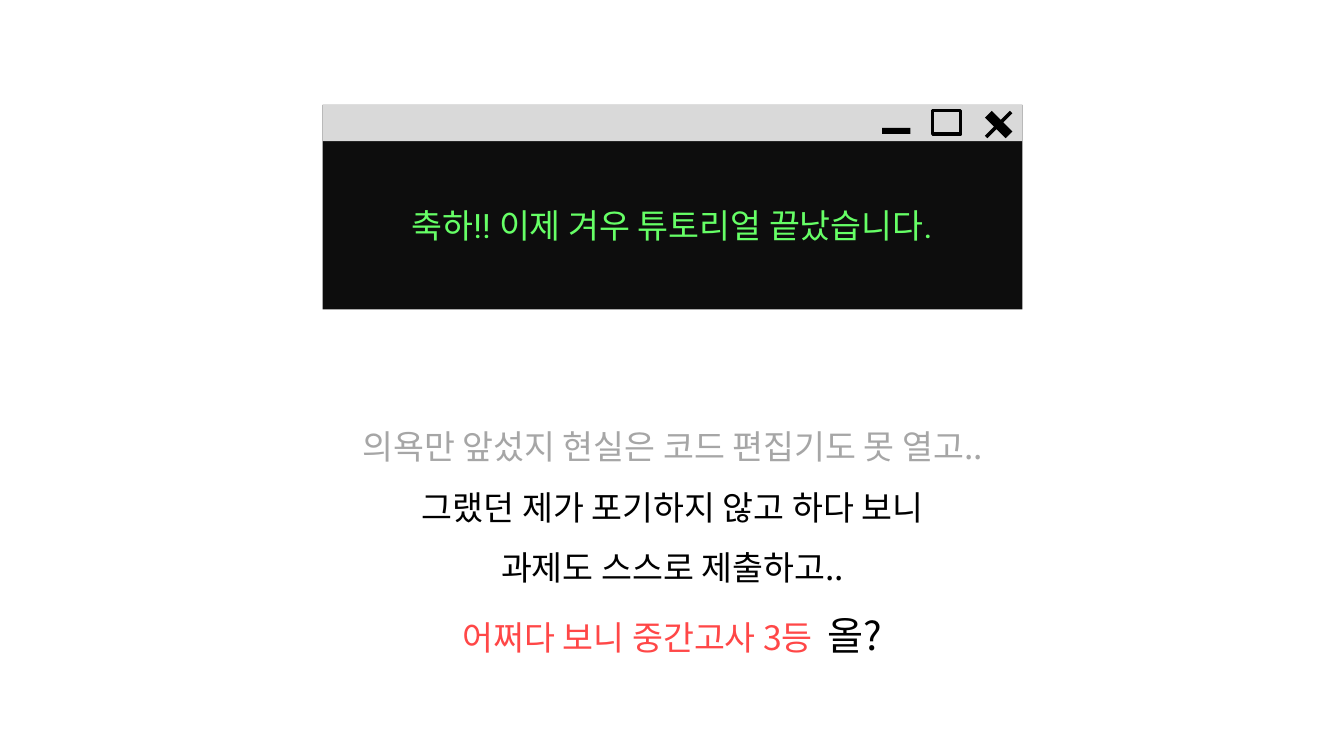
import pptx
import pptx.util
import pptx.dml.color
import pptx.enum.shapes
import pptx.enum.text
import pptx.oxml.ns
import lxml.etree
from dataclasses import dataclass

Inches = pptx.util.Inches
SHAPES = pptx.enum.shapes.MSO_SHAPE


@dataclass(frozen=True)
class Theme:
    screen: str = "0D0D0D"
    title_bar: str = "D9D9D9"
    ink: str = "000000"
    terminal: str = "66FF66"
    muted: str = "A6A6A6"
    accent: str = "FF4747"
    latin: str = "Roboto"
    korean: str = "Noto Sans CJK KR"
    body: int = 24
    punch: int = 28
    icon_line: float = 2.25


THEME = Theme()


def rgb(value):
    return pptx.dml.color.RGBColor.from_string(value)


def add_block(slide, kind, left, top, width, height, fill=None, line=None):
    block = slide.shapes.add_shape(
        kind, Inches(left), Inches(top), Inches(width), Inches(height))
    block.shadow.inherit = False
    if fill:
        block.fill.solid()
        block.fill.fore_color.rgb = rgb(fill)
    else:
        block.fill.background()
    if line:
        block.line.color.rgb = rgb(line)
        block.line.width = pptx.util.Pt(THEME.icon_line)
    else:
        block.line.fill.background()
    return block


def format_run(run, color, size, face):
    run.font.size = pptx.util.Pt(size)
    run.font.color.rgb = rgb(color)
    run.font.name = face
    east_asian = lxml.etree.SubElement(run.font._element, pptx.oxml.ns.qn("a:ea"))
    east_asian.set("typeface", THEME.korean)


def format_frame(frame, anchor):
    frame.word_wrap = False
    frame.auto_size = pptx.enum.text.MSO_AUTO_SIZE.NONE
    frame.vertical_anchor = anchor


def add_window(slide, left, top, width, height):
    bar_height = 0.36
    right = left + width
    add_block(slide, SHAPES.RECTANGLE, left, top, width, height, THEME.screen)
    add_block(slide, SHAPES.RECTANGLE, left, top, width, bar_height, THEME.title_bar)
    add_block(slide, SHAPES.RECTANGLE, right - 0.89, top + 0.06, 0.28, 0.23,
              line=THEME.ink)
    add_block(slide, SHAPES.RECTANGLE, right - 1.39, top + 0.23, 0.28, 0.06, THEME.ink)
    close = add_block(slide, SHAPES.CROSS, right - 0.38, top + 0.02, 0.29, 0.35, THEME.ink)
    close.adjustments[0] = 0.44
    close.rotation = 45


def place_message(slide, left, top, width, height):
    message = slide.shapes.title
    message.left, message.top = Inches(left), Inches(top)
    message.width, message.height = Inches(width), Inches(height)
    slide.shapes._spTree.append(message._element)
    format_frame(message.text_frame, pptx.enum.text.MSO_ANCHOR.TOP)
    message.text_frame.text = "축하!! 이제 겨우 튜토리얼 끝났습니다."
    paragraph = message.text_frame.paragraphs[0]
    paragraph.alignment = pptx.enum.text.PP_ALIGN.CENTER
    paragraph.line_spacing = 1.0
    format_run(paragraph.runs[0], THEME.terminal, THEME.body, THEME.latin)


def add_story(slide, left, top, width, height):
    story = [
        [("의욕만 앞섰지 현실은 코드 편집기도 못 열고..", THEME.muted, THEME.body)],
        [("그랬던 제가 포기하지 않고 하다 보니", THEME.ink, THEME.body)],
        [("과제도 스스로 제출하고..", THEME.ink, THEME.body)],
        [("어쩌다 보니 중간고사 3등  ", THEME.accent, THEME.body),
         ("올?", THEME.ink, THEME.punch)],
    ]
    frame = slide.shapes.add_textbox(
        Inches(left), Inches(top), Inches(width), Inches(height)).text_frame
    format_frame(frame, pptx.enum.text.MSO_ANCHOR.TOP)
    for index, pieces in enumerate(story):
        paragraph = frame.add_paragraph() if index else frame.paragraphs[0]
        paragraph.alignment = pptx.enum.text.PP_ALIGN.CENTER
        paragraph.line_spacing = 1.5
        for words, color, size in pieces:
            run = paragraph.add_run()
            run.text = words
            format_run(run, color, size, THEME.korean)


def main():
    deck = pptx.Presentation()
    deck.slide_width, deck.slide_height = Inches(13.33), Inches(7.5)
    slide = deck.slides.add_slide(deck.slide_layouts.get_by_name("Title Only"))
    add_window(slide, 3.2, 1.04, 6.94, 2.03)
    place_message(slide, 3.45, 1.98, 6.43, 0.5)
    add_story(slide, 3.26, 3.98, 6.82, 2.57)
    deck.save("out.pptx")


if __name__ == "__main__":
    main()
